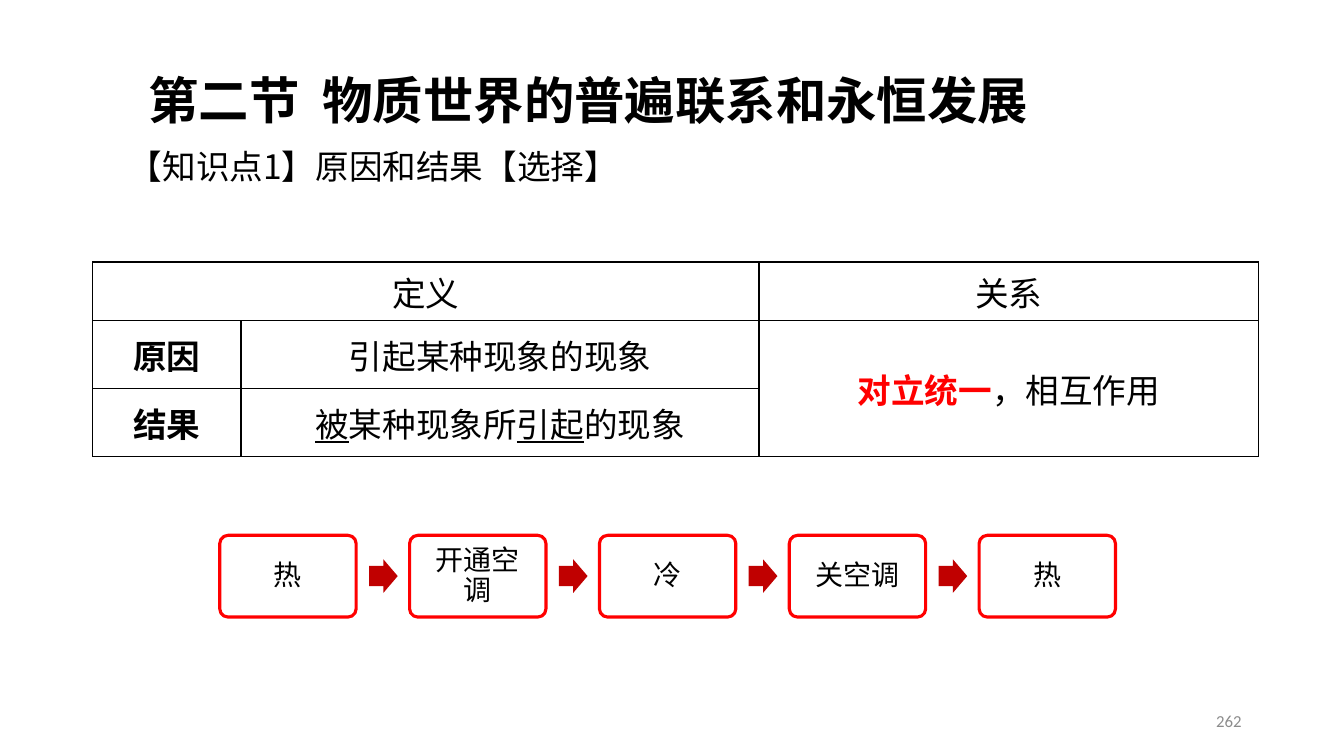
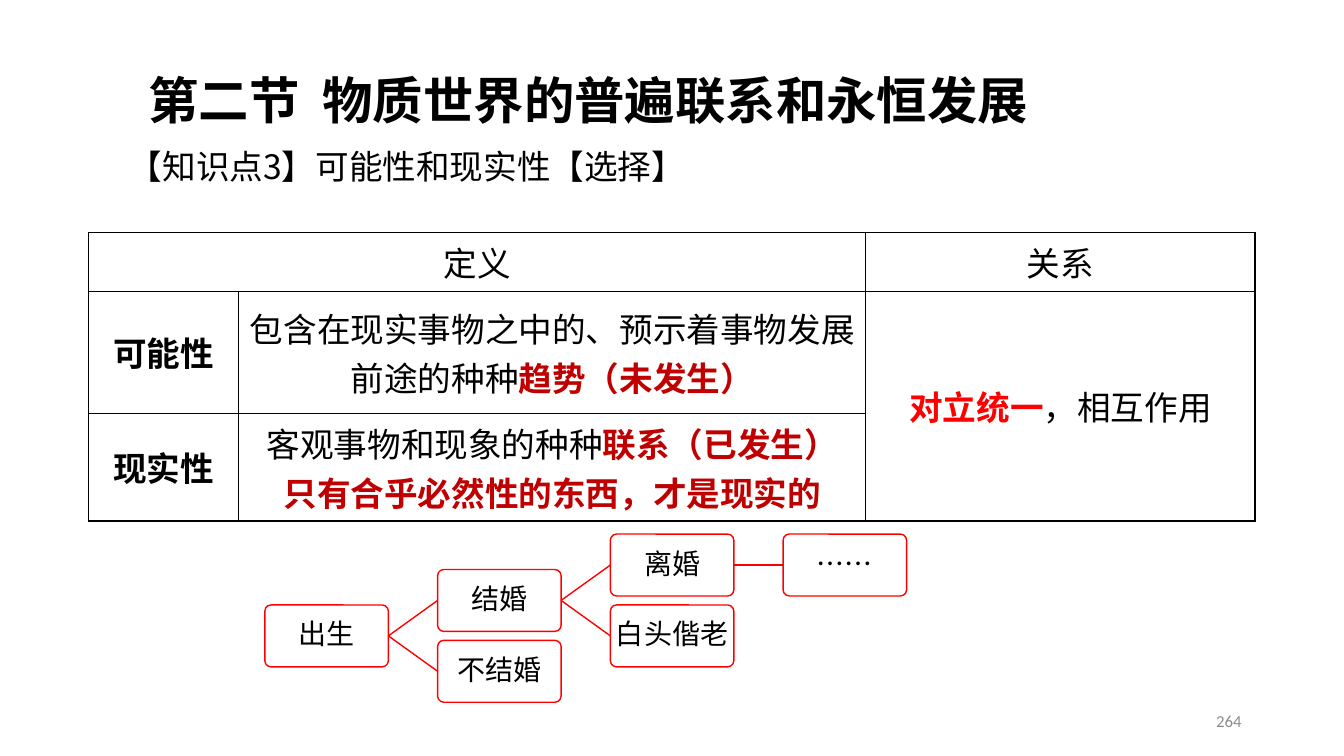
from lxml.etree import SubElement
from pptx import Presentation
from pptx.dml.color import RGBColor
from pptx.enum.shapes import MSO_CONNECTOR as Connector, MSO_SHAPE as Shape
from pptx.enum.text import MSO_ANCHOR as Anchor, PP_ALIGN as Align
from pptx.oxml.ns import qn
from pptx.util import Pt

BLACK, WHITE, GREY, RED, DARK_RED = "000000", "FFFFFF", "8C8C8C", "FF0000", "C00000"
HAN, LATIN = "Noto Sans CJK SC", "Calibri"
CHAPTER = "第二节  物质世界的普遍联系和永恒发展"
BOLD = {"bold": True}
UNDERLINE = {"underline": True}
KEY = {"bold": True, "color": RED}
STRONG = {"bold": True, "color": DARK_RED}
UNITY = [[("对立统一", KEY), ("，相互作用", {})]]


def rgb(value):
    return RGBColor.from_string(value)


def plain(text, **style):
    return [[(text, style)]]


class Lesson:
    """Holds the lesson's style and the slide being built."""

    def __init__(self):
        self.deck = Presentation()
        self.deck.slide_width, self.deck.slide_height = Pt(960), Pt(540)
        self.slide = None

    def start(self, topic, page):
        self.slide = self.deck.slides.add_slide(self.deck.slide_layouts[6])
        self.text(99, 46, 828, 58, plain(CHAPTER, bold=True), 36)
        self.text(85, 104, 828, 62, plain(topic), 24, spacing=0.9)
        self.text(678, 500.5, 216, 29, plain(page, color=GREY), 12,
                  Align.RIGHT, Anchor.MIDDLE, LATIN)

    def fill_text(self, frame, paragraphs, size, align, face=HAN, spacing=None):
        for index, runs in enumerate(paragraphs):
            paragraph = frame.add_paragraph() if index else frame.paragraphs[0]
            paragraph.alignment = align
            paragraph.line_spacing = spacing
            paragraph.font.size = Pt(size)
            paragraph.font.name = face
            paragraph.font.color.rgb = rgb(BLACK)
            defaults = paragraph._p.pPr.find(qn("a:defRPr"))
            SubElement(defaults, qn("a:ea")).set("typeface", face)
            for words, style in runs:
                run = paragraph.add_run()
                run.text = words
                font = paragraph.font if len(runs) == 1 else run.font
                if "bold" in style:
                    font.bold = style["bold"]
                if "underline" in style:
                    font.underline = style["underline"]
                if "color" in style:
                    font.color.rgb = rgb(style["color"])

    def text(self, left, top, width, height, paragraphs, size,
             align=Align.LEFT, anchor=Anchor.TOP, face=HAN, spacing=None):
        box = self.slide.shapes.add_textbox(Pt(left), Pt(top), Pt(width), Pt(height))
        box.text_frame.word_wrap = True
        box.text_frame.vertical_anchor = anchor
        self.fill_text(box.text_frame, paragraphs, size, align, face, spacing)

    def table(self, left, top, widths, heights, rows, merges):
        grid = self.slide.shapes.add_table(
            len(heights), len(widths), Pt(left), Pt(top),
            Pt(sum(widths)), Pt(sum(heights))).table
        grid.first_row = grid.horz_banding = False
        for column, width in zip(grid.columns, widths):
            column.width = Pt(width)
        for row, height, contents in zip(grid.rows, heights, rows):
            row.height = Pt(height)
            for cell, content in zip(row.cells, contents):
                self.border(cell)
                cell.fill.background()
                cell.vertical_anchor = Anchor.MIDDLE
                if content:
                    self.fill_text(cell.text_frame, content, 24, Align.CENTER)
        for first, last in merges:
            grid.cell(*first).merge(grid.cell(*last))

    def border(self, cell):
        properties = cell._tc.get_or_add_tcPr()
        for side in ("lnL", "lnR", "lnT", "lnB"):
            line = SubElement(properties, qn(f"a:{side}"), w=str(Pt(1)))
            fill = SubElement(line, qn("a:solidFill"))
            SubElement(fill, qn("a:srgbClr"), val=BLACK)

    def box(self, left, top, width, height, words, weight, inset):
        box = self.slide.shapes.add_shape(
            Shape.ROUNDED_RECTANGLE, Pt(left), Pt(top), Pt(width), Pt(height))
        box.shadow.inherit = False
        box.adjustments[0] = 0.1
        box.fill.solid()
        box.fill.fore_color.rgb = rgb(WHITE)
        box.line.color.rgb = rgb(RED)
        box.line.width = Pt(weight)
        frame = box.text_frame
        frame.word_wrap = True
        frame.vertical_anchor = Anchor.MIDDLE
        frame.margin_left = frame.margin_right = Pt(inset)
        frame.margin_top = frame.margin_bottom = Pt(inset)
        self.fill_text(frame, plain(words), 20, Align.CENTER, spacing=0.9)
        return box

    def arrow(self, left, top, width, height):
        arrow = self.slide.shapes.add_shape(
            Shape.RIGHT_ARROW, Pt(left), Pt(top), Pt(width), Pt(height))
        arrow.shadow.inherit = False
        arrow.adjustments[0] = 0.6
        arrow.fill.solid()
        arrow.fill.fore_color.rgb = rgb(DARK_RED)
        arrow.line.fill.background()

    def link(self, parent, child):
        link = self.slide.shapes.add_connector(Connector.STRAIGHT, 0, 0, 0, 0)
        link.begin_connect(parent, 3)
        link.end_connect(child, 1)
        link.line.color.rgb = rgb(RED)
        link.line.width = Pt(1)
        SubElement(link._element.spPr, qn("a:effectLst"))

    def definitions(self, left, top, widths, heights, terms):
        rows = [[plain("定义"), None, plain("关系")]]
        for index, (term, meaning) in enumerate(terms):
            rows.append([plain(term, **BOLD), meaning, None if index else UNITY])
        self.table(left, top, widths, heights, rows,
                   [((0, 0), (0, 1)), ((1, 2), (2, 2))])

    def cycle(self, steps):
        for index, step in enumerate(steps):
            left = 157 + 135.6 * index
            if index:
                self.arrow(left - 29, 399.5, 20.5, 24)
            self.box(left, 382.4, 97.4, 58.4, step, 2.25, 8)

    def tree(self, places, branches):
        boxes = {name: self.box(189.2 + 123.4 * column, 381.5 + 25.3 * level,
                                88.2, 44.2, name, 1, 2)
                 for name, (column, level) in places.items()}
        for parent, child in branches:
            self.link(boxes[parent], boxes[child])


def main():
    lesson = Lesson()

    lesson.start("【知识点1】原因和结果【选择】", "262")
    lesson.definitions(66.2, 187.2, (106, 370, 357), (42, 48.5, 48.5), [
        ("原因", plain("引起某种现象的现象")),
        ("结果", [[("被", UNDERLINE), ("某种现象所", {}),
                 ("引起", UNDERLINE), ("的现象", {})]]),
    ])
    lesson.cycle(["热", "开通空调", "冷", "关空调", "热"])

    lesson.start("【知识点3】可能性和现实性【选择】", "264")
    lesson.definitions(63.5, 166.2, (107, 448, 278), (42, 87, 77), [
        ("可能性", [[("包含在现实事物之中的、预示着事物发展前途的种种", {}),
                  ("趋势（未发生）", STRONG)]]),
        ("现实性", [[("客观事物和现象的种种", {}), ("联系（已发生）", STRONG)],
                 [("只有合乎必然性的东西，才是现实的", STRONG)]]),
    ])
    lesson.tree(
        {"出生": (0, 2), "结婚": (1, 1), "不结婚": (1, 3),
         "离婚": (2, 0), "白头偕老": (2, 2), "……": (3, 0)},
        [("出生", "结婚"), ("出生", "不结婚"), ("结婚", "离婚"),
         ("结婚", "白头偕老"), ("离婚", "……")])

    lesson.deck.save("out.pptx")


if __name__ == "__main__":
    main()
